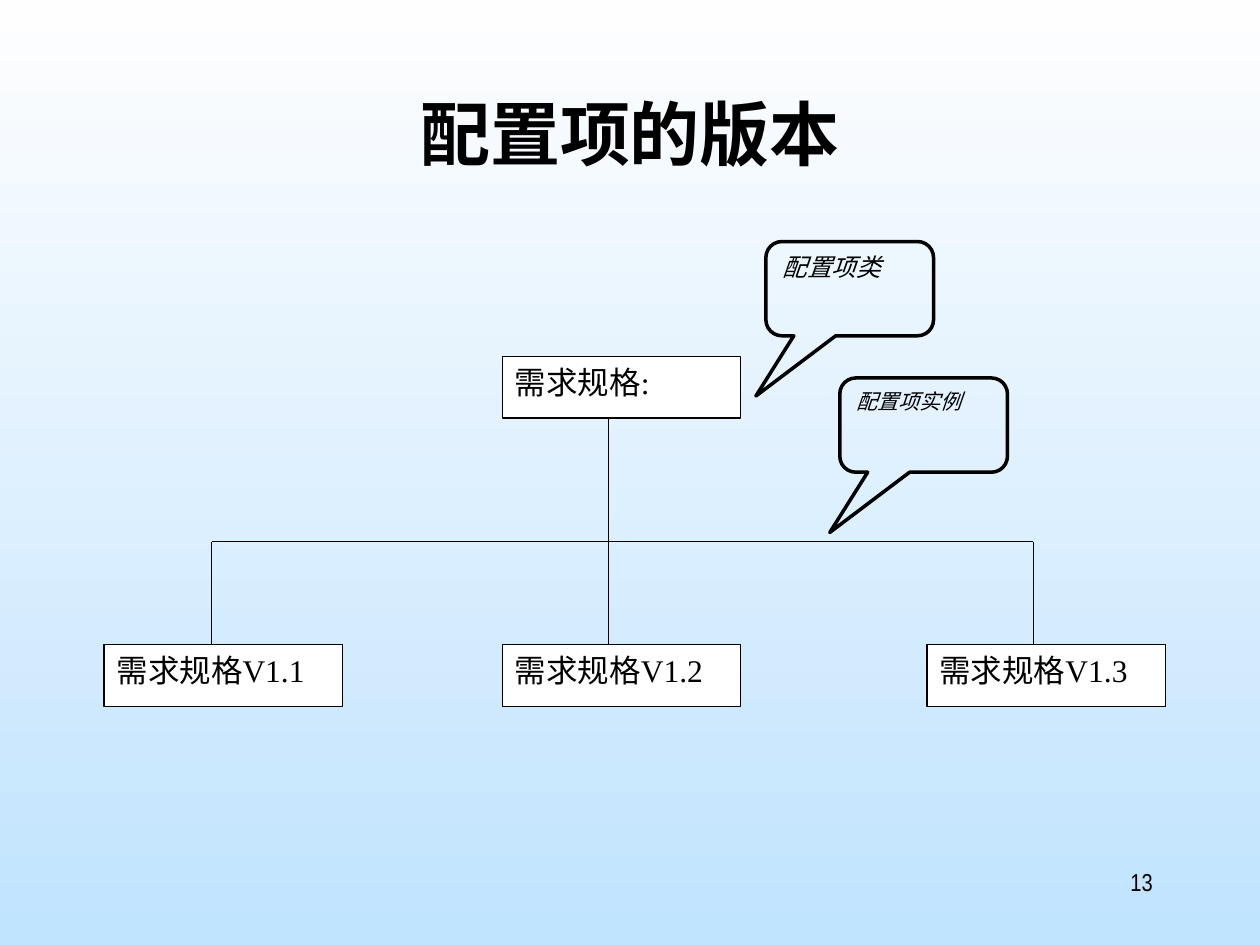
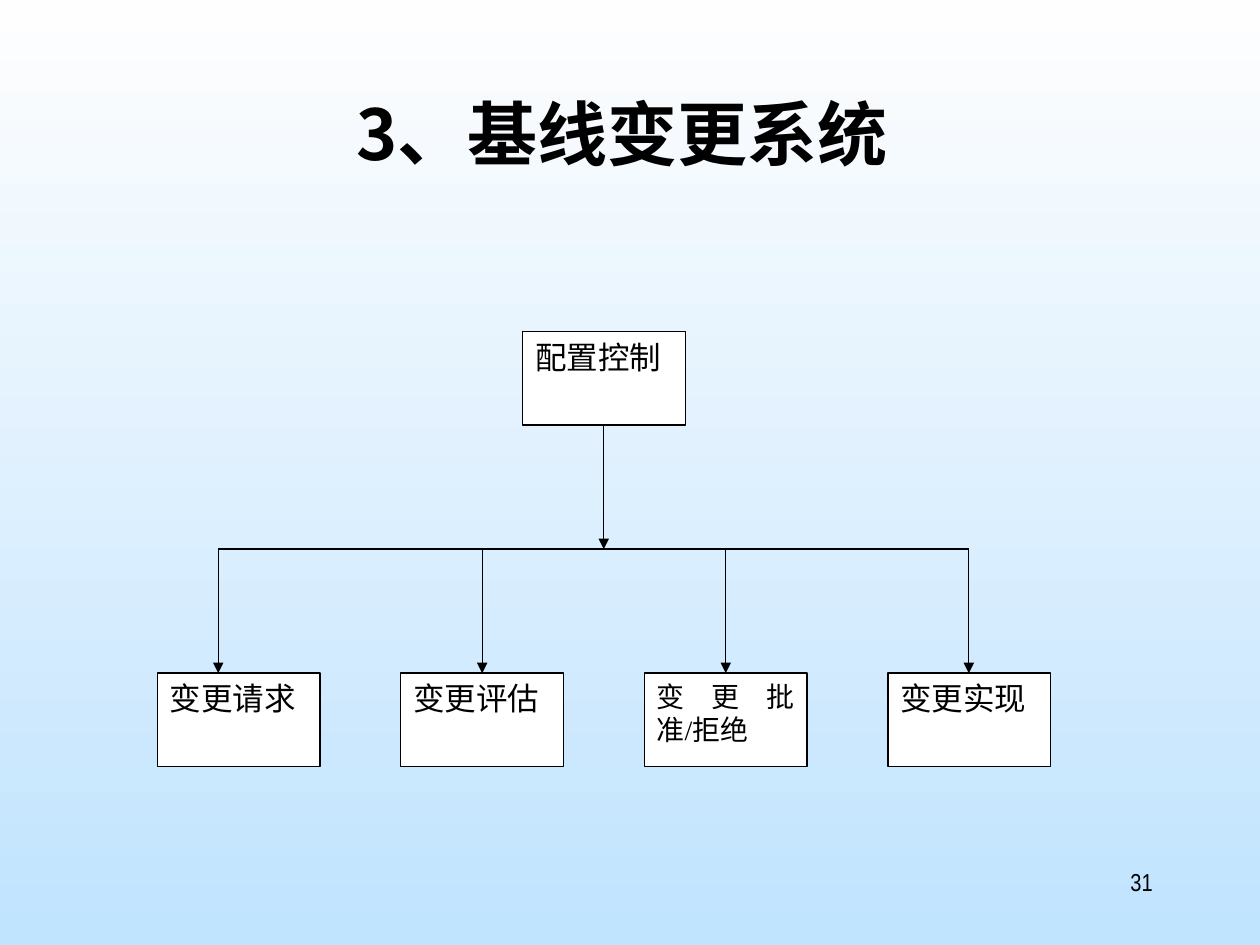
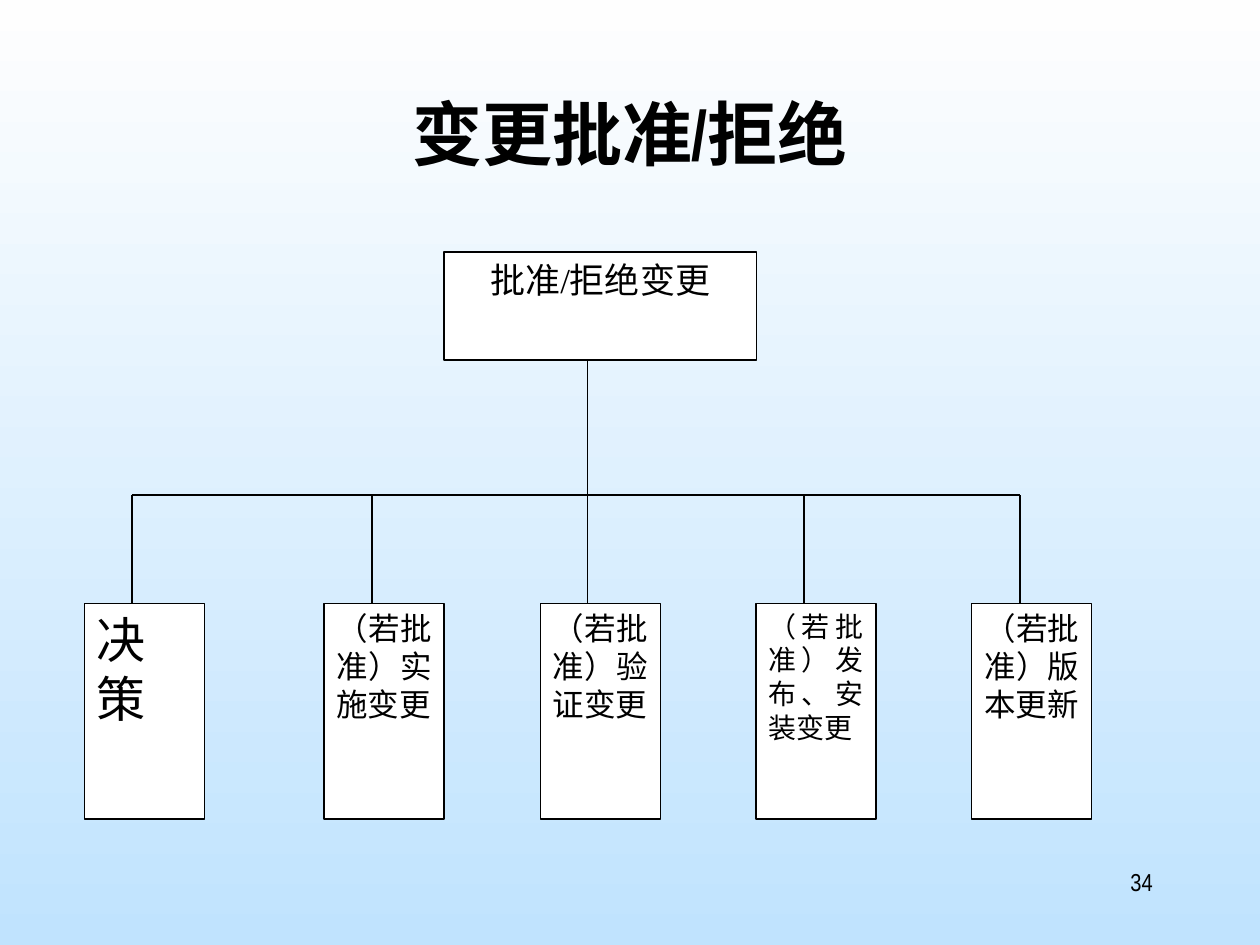
from pptx import Presentation
from pptx.dml.color import RGBColor
from pptx.enum.shapes import MSO_CONNECTOR, MSO_SHAPE
from pptx.enum.text import MSO_ANCHOR, PP_ALIGN
from pptx.oxml.ns import qn
from pptx.util import Cm, Pt
from lxml.etree import SubElement

# Shared look
HUES = {"ink": "000000", "box": "FFFFFF", "top": "FEFEFE", "foot": "C0E3FE"}
SANS, SERIF, NARROW = "Noto Sans CJK SC", "Times New Roman", "Arial Narrow"
TITLE = (1.9, 1.7, 21.6, 3.18)
FOOT = (18.21, 17.35, 5.28, 1.27)

# Content: lengths in cm
# root: text, size, alignment, (left, top, width, height)
# leaves: text, size, left, x of the line down to the box
SLIDES = [
    {
        "title": "配置项的版本", "face": SANS, "page": "13",
        "root": ("需求规格:", 18, PP_ALIGN.JUSTIFY, (10.13, 7.19, 4.8, 1.24)),
        "trunk": 12.27, "bar": 10.92, "arrow": False,
        "row": (13, 4.8, 1.24),
        "leaves": [
            ("需求规格V1.1", 18, 2.1, 4.27),
            ("需求规格V1.2", 18, 10.13, 12.27),
            ("需求规格V1.3", 18, 18.69, 20.83),
        ],
        "notes": [
            ("配置项类", 14, PP_ALIGN.JUSTIFY, 15.44, 4.87),
            ("配置项实例", 12, PP_ALIGN.LEFT, 16.93, 7.62),
        ],
    },
    {
        "title": "3、基线变更系统 ", "face": SANS, "page": "31",
        "root": ("配置控制", 18, PP_ALIGN.JUSTIFY, (10.54, 6.69, 3.28, 1.88)),
        "trunk": 12.17, "bar": 11.07, "arrow": True,
        "row": (13.57, 3.28, 1.88),
        "leaves": [
            ("变更请求", 18, 3.17, 4.4),
            ("变更评估", 18, 8.08, 9.72),
            ("变更批准/拒绝", 16, 12.99, 14.63),
            ("变更实现", 18, 17.9, 19.53),
        ],
        "notes": [],
    },
    {
        "title": "变更批准/拒绝", "face": NARROW, "page": "34",
        "root": ("批准/拒绝变更", 20, PP_ALIGN.CENTER, (8.95, 5.08, 6.3, 2.18)),
        "trunk": 11.85, "bar": 9.98, "arrow": False,
        "row": (12.16, 2.42, 4.35),
        "leaves": [
            ("决策", 28, 1.7, 2.66),
            ("（若批准）实施变更", 18, 6.53, 7.5),
            ("（若批准）验证变更", 18, 10.89, 11.85),
            ("（若批准）发布、安装变更", 16, 15.24, 16.21),
            ("（若批准）版本更新", 18, 19.59, 20.56),
        ],
        "notes": [],
    },
]


def hue(name):
    return RGBColor.from_string(HUES[name])


def write(shape, text, size=18, face=SERIF, align=PP_ALIGN.JUSTIFY,
          bold=False, slant=False):
    frame = shape.text_frame
    frame.word_wrap = True
    frame.vertical_anchor = MSO_ANCHOR.TOP
    part = frame.paragraphs[0]
    part.alignment = align
    run = part.add_run()
    run.text = text
    font = run.font
    font.size, font.bold, font.italic = Pt(size), bold, slant
    font.color.rgb = hue("ink")
    font.name = face
    SubElement(run._r.get_or_add_rPr(), qn("a:ea"), typeface=SANS)


def label(slide, place, text, **look):
    write(slide.shapes.add_textbox(*map(Cm, place)), text, **look)


def block(slide, place, text, kind=MSO_SHAPE.RECTANGLE, fill="box",
          width=0.75, **look):
    shape = slide.shapes.add_shape(kind, *map(Cm, place))
    shape.shadow.inherit = False
    if fill:
        shape.fill.solid()
        shape.fill.fore_color.rgb = hue(fill)
    else:
        shape.fill.background()
    shape.line.color.rgb = hue("ink")
    shape.line.width = Pt(width)
    write(shape, text, **look)
    return shape


def link(slide, x1, y1, x2, y2, arrow=False):
    line = slide.shapes.add_connector(
        MSO_CONNECTOR.STRAIGHT, Cm(x1), Cm(y1), Cm(x2), Cm(y2))
    line.line.color.rgb = hue("ink")
    line.line.width = Pt(0.75)
    if arrow:
        SubElement(line.line._get_or_add_ln(), qn("a:tailEnd"), type="triangle")
    SubElement(line._element.spPr, qn("a:effectLst"))


def paint(slide):
    fill = slide.background.fill
    fill.gradient()
    fill.gradient_angle = 270
    for stop, name in zip(fill.gradient_stops, ("top", "foot")):
        stop.color.rgb = hue(name)


def tree(slide, data):
    # Boxes
    text, size, align, place = data["root"]
    block(slide, place, text, size=size, align=align)
    top, wide, high = data["row"]
    for text, size, left, _ in data["leaves"]:
        block(slide, (left, top, wide, high), text, size=size)

    # Lines: the trunk runs on to the row when a box hangs right below it
    trunk, bar, arrow = data["trunk"], data["bar"], data["arrow"]
    drops = [leaf[-1] for leaf in data["leaves"]]
    link(slide, drops[0], bar, drops[-1], bar)
    end = top if trunk in drops else bar
    link(slide, trunk, place[1] + place[3], trunk, end, arrow)
    for x in drops:
        if x != trunk:
            link(slide, x, bar, x, top, arrow)


def note(slide, text, size, align, left, top):
    shape = block(slide, (left, top, 3.38, 1.9), text, fill=None, width=2,
                  kind=MSO_SHAPE.ROUNDED_RECTANGULAR_CALLOUT,
                  size=size, align=align, slant=True)
    for i, value in enumerate((-0.56, 1.14, 0.17)):
        shape.adjustments[i] = value


def main():
    deck = Presentation()
    deck.slide_width, deck.slide_height = Cm(25.4), Cm(19.05)
    for data in SLIDES:
        slide = deck.slides.add_slide(deck.slide_layouts[6])
        paint(slide)
        label(slide, TITLE, data["title"], size=40, face=data["face"],
              align=PP_ALIGN.CENTER, bold=True)
        tree(slide, data)
        for item in data["notes"]:
            note(slide, *item)
        label(slide, FOOT, data["page"], size=14, face=NARROW,
              align=PP_ALIGN.RIGHT)
    deck.save("out.pptx")


if __name__ == "__main__":
    main()
